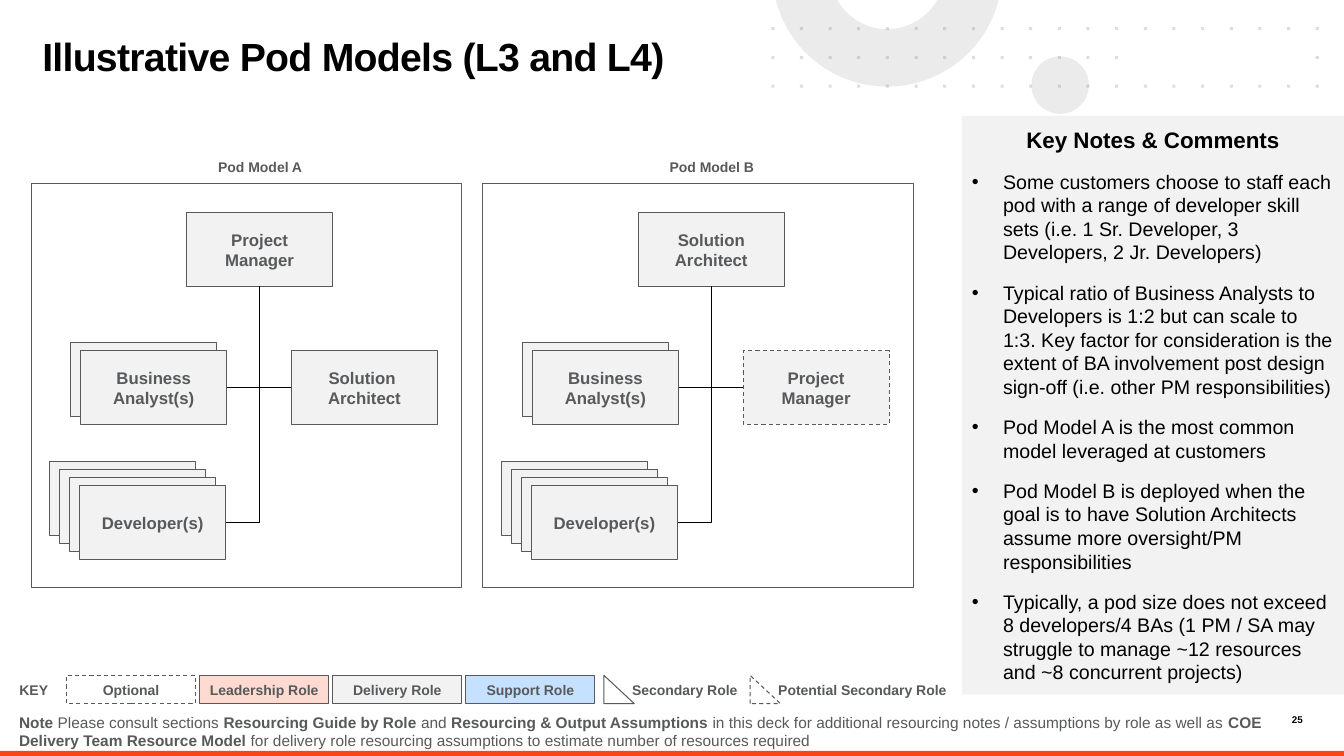
"""Build the slide of illustrative pod models with key notes and a legend."""
import math
from pptx import Presentation
from pptx import util as u
from pptx.dml.color import RGBColor
from pptx.enum import dml, shapes, text
from pptx.oxml import ns
from lxml import etree

COLORS = {"grey": "58595B", "light": "F2F2F2", "white": "FFFFFF", "black": "000000",
          "ring": "D9D9D9", "orange": "FA4616", "leader": "FEDAD0", "support": "C6E0FF"}
LEFT, CENTER, RIGHT = text.PP_ALIGN.LEFT, text.PP_ALIGN.CENTER, text.PP_ALIGN.RIGHT
TOP, MIDDLE = text.MSO_ANCHOR.TOP, text.MSO_ANCHOR.MIDDLE
RECT, TRIANGLE = shapes.MSO_SHAPE.RECTANGLE, shapes.MSO_SHAPE.RIGHT_TRIANGLE

prs = Presentation()
prs.slide_width, prs.slide_height = u.Inches(13.33), u.Inches(7.5)
s = prs.slides.add_slide(prs.slide_layouts[6])


def style(sp, fill, line=None, dash=False, alpha=None):
    """Set the fill, transparency and outline of a shape."""
    sp.shadow.inherit = False
    sp.fill.solid()
    sp.fill.fore_color.rgb = RGBColor.from_string(COLORS[fill])
    if alpha:
        clr = sp._element.spPr.find(".//" + ns.qn("a:srgbClr"))
        etree.SubElement(clr, ns.qn("a:alpha")).set("val", str(alpha * 1000))
    if line:
        sp.line.color.rgb = RGBColor.from_string(COLORS[line])
        sp.line.width = u.Pt(0.75)
        if dash:
            sp.line.dash_style = dml.MSO_LINE.DASH
    else:
        sp.line.fill.background()
    return sp


def write(sp, paragraphs, size, color="grey", align=CENTER, anchor=MIDDLE, inset=0.1):
    """Write paragraphs, each a list of (text, bold) runs, into a shape."""
    tf = sp.text_frame
    tf.word_wrap = True
    tf.vertical_anchor = anchor
    tf.margin_left = tf.margin_right = tf.margin_top = tf.margin_bottom = u.Inches(inset)
    for i, runs in enumerate(paragraphs):
        p = tf.add_paragraph() if i else tf.paragraphs[0]
        p.alignment = align
        for words, bold in runs:
            r = p.add_run()
            r.text = words
            r.font.name, r.font.size, r.font.bold = "Arial", u.Pt(size), bold
            r.font.color.rgb = RGBColor.from_string(COLORS[color])
    return tf


number = s.shapes.add_textbox(u.Inches(12.53), u.Inches(7.08), u.Inches(0.39), u.Inches(0.13))
footer = s.shapes.add_shape(RECT, u.Inches(0), u.Inches(7.45), u.Inches(13.33), u.Inches(0.05))
style(footer, "orange")
disc = s.shapes.add_shape(shapes.MSO_SHAPE.OVAL, u.Inches(10.23), u.Inches(0.56),
                          u.Inches(0.57), u.Inches(0.57))
style(disc, "ring", alpha=50)

ring_x, ring_y, steps = 8.8, -0.28, 40
outline = []
for radius, forward in ((1.14, True), (0.57, False)):
    start = math.asin(-ring_y / radius)
    arc = [start + (math.pi - 2 * start) * i / steps for i in range(steps + 1)]
    for angle in arc if forward else reversed(arc):
        outline.append((u.Inches(ring_x + radius * math.cos(angle)),
                        u.Inches(ring_y + radius * math.sin(angle))))
fb = s.shapes.build_freeform(*outline[0])
fb.add_line_segments(outline[1:])
style(fb.convert_to_shape(), "ring", alpha=50)

dot, dots = 0.03, None
for row in range(3):
    for col in range(20):
        if row == 1 and 13 <= col <= 18:
            continue
        x, y = 7.65 + col * 5.4 / 19, 0.27 + row * 0.285
        corners = [(u.Inches(x + dx), u.Inches(y + dy))
                   for dx, dy in ((0, 0), (dot, 0), (dot, dot), (0, dot))]
        if dots is None:
            dots = s.shapes.build_freeform(*corners[0])
        else:
            dots.move_to(*corners[0])
        dots.add_line_segments(corners[1:])
style(dots.convert_to_shape(), "grey", alpha=20)

title = s.shapes.add_textbox(u.Inches(0.42), u.Inches(0.39), u.Inches(7.23), u.Inches(0.75))
tf = write(title, [[("Illustrative Pod Models (L3 and L4)", True)]], 28, "black", LEFT, TOP, 0)
tf.paragraphs[0].line_spacing = 0.85
tf.paragraphs[0].runs[0].font._element.set("spc", "-50")

pods = [
    ("Pod Model A", 0, ["Project Manager"], ["Solution ", "Architect"], False),
    ("Pod Model B", 4.48, ["Solution Architect"], ["Project Manager"], True),
]
for name, shift, lead, partner, optional in pods:
    label = s.shapes.add_textbox(u.Inches(1.11 + shift), u.Inches(1.52), u.Inches(2.94), u.Inches(0.27))
    write(label, [[(name, True)]], 10, anchor=TOP, inset=0.05)
    frame = s.shapes.add_shape(RECT, u.Inches(0.31 + shift), u.Inches(1.82), u.Inches(4.27), u.Inches(4.01))
    style(frame, "white", "grey")
    roles = []
    for x, y, words, count, dash in (
            (1.85, 2.11, lead, 1, False),
            (0.8, 3.48, ["Business Analyst(s)"], 2, False),
            (0.79, 4.82, ["Developer(s)"], 4, False),
            (2.89, 3.48, partner, 1, optional)):
        for back in reversed(range(count)):
            sp = s.shapes.add_shape(RECT, u.Inches(x + shift - back * 0.1), u.Inches(y - back * 0.08),
                                    u.Inches(1.45), u.Inches(0.73))
            style(sp, "light", "grey", dash)
        write(sp, [[(line, True)] for line in words], 12)
        roles.append(sp)
    top = roles[0]
    for role, side in zip(roles[1:], (3, 3, 1)):
        edge = role.left + (role.width if side == 3 else 0)
        c = s.shapes.add_connector(shapes.MSO_CONNECTOR.ELBOW, edge, role.top + role.height // 2,
                                   top.left + top.width // 2, top.top + top.height)
        c.begin_connect(role, side)
        c.end_connect(top, 2)
        c.line.color.rgb = RGBColor.from_string(COLORS["black"])
        c.line.width = u.Pt(0.75)
        spPr = c._element.spPr
        spPr.find(ns.qn("a:prstGeom")).set("prst", "bentConnector2")
        etree.SubElement(spPr, ns.qn("a:effectLst"))

notes = [
    "Some customers choose to staff each pod with a range of developer skill sets "
    "(i.e. 1 Sr. Developer, 3 Developers, 2 Jr. Developers)",
    "Typical ratio of Business Analysts to Developers is 1:2 but can scale to 1:3. Key factor for "
    "consideration is the extent of BA involvement post design sign-off (i.e. other PM responsibilities)",
    "Pod Model A is the most common model leveraged at customers",
    "Pod Model B is deployed when the goal is to have Solution Architects assume more "
    "oversight/PM responsibilities",
    "Typically, a pod size does not exceed 8 developers/4 BAs (1 PM / SA may struggle to manage "
    "~12 resources and ~8 concurrent projects)",
]
panel = s.shapes.add_shape(RECT, u.Inches(9.54), u.Inches(1.15), u.Inches(3.79), u.Inches(5.74))
style(panel, "light")
tf = write(panel, [[("Key Notes & Comments", True)]] + [[(note, False)] for note in notes],
           14, "black", LEFT, TOP)
for p in tf.paragraphs:
    p.space_after = u.Pt(12)
for p in tf.paragraphs[1:]:
    pPr = p._p.get_or_add_pPr()
    pPr.set("marL", str(u.Inches(0.31)))
    pPr.set("indent", str(-u.Inches(0.31)))
    etree.SubElement(pPr, ns.qn("a:buFont")).set("typeface", "Arial")
    etree.SubElement(pPr, ns.qn("a:buChar")).set("char", "•")
heading = tf.paragraphs[0]
heading.alignment = CENTER
heading.runs[0].font.size = u.Pt(16)

key = s.shapes.add_textbox(u.Inches(0.07), u.Inches(6.71), u.Inches(0.53), u.Inches(0.27))
write(key, [[("KEY", True)]], 10, anchor=TOP, inset=0.05)
legend = [("Optional", "white", True), ("Leadership Role", "leader", False),
          ("Delivery Role", "light", False), ("Support Role", "support", False)]
for i, (name, fill, dash) in enumerate(legend):
    sp = s.shapes.add_shape(RECT, u.Inches(0.66 + i * 1.32), u.Inches(6.7), u.Inches(1.28), u.Inches(0.28))
    write(style(sp, fill, "grey", dash), [[(name, True)]], 10)
for name, x, width, dash in (("Secondary Role", 5.99, 1.28, False),
                             ("Potential Secondary Role", 7.44, 1.95, True)):
    sp = s.shapes.add_shape(TRIANGLE, u.Inches(x), u.Inches(6.7), u.Inches(0.3), u.Inches(0.28))
    style(sp, "white", "grey", dash)
    label = s.shapes.add_textbox(u.Inches(x + 0.18), u.Inches(6.7), u.Inches(width), u.Inches(0.28))
    write(label, [[(name, True)]], 10, align=LEFT)

footnote = s.shapes.add_shape(RECT, u.Inches(0.09), u.Inches(7.07), u.Inches(12.61), u.Inches(0.37))
write(style(footnote, "white"), [[
    ("Note ", True), ("Please consult sections ", False), ("Resourcing Guide by Role ", True),
    ("and ", False), ("Resourcing & Output Assumptions", True),
    (" in this deck for additional resourcing notes / assumptions by role as well as ", False),
    ("COE Delivery Team Resource Model ", True),
    ("for delivery role resourcing assumptions to estimate number of resources required", False),
]], 11, align=LEFT)
s.shapes._spTree.append(number._element)
write(number, [[("25", True)]], 7, "black", RIGHT, TOP, 0)

prs.save("out.pptx")
